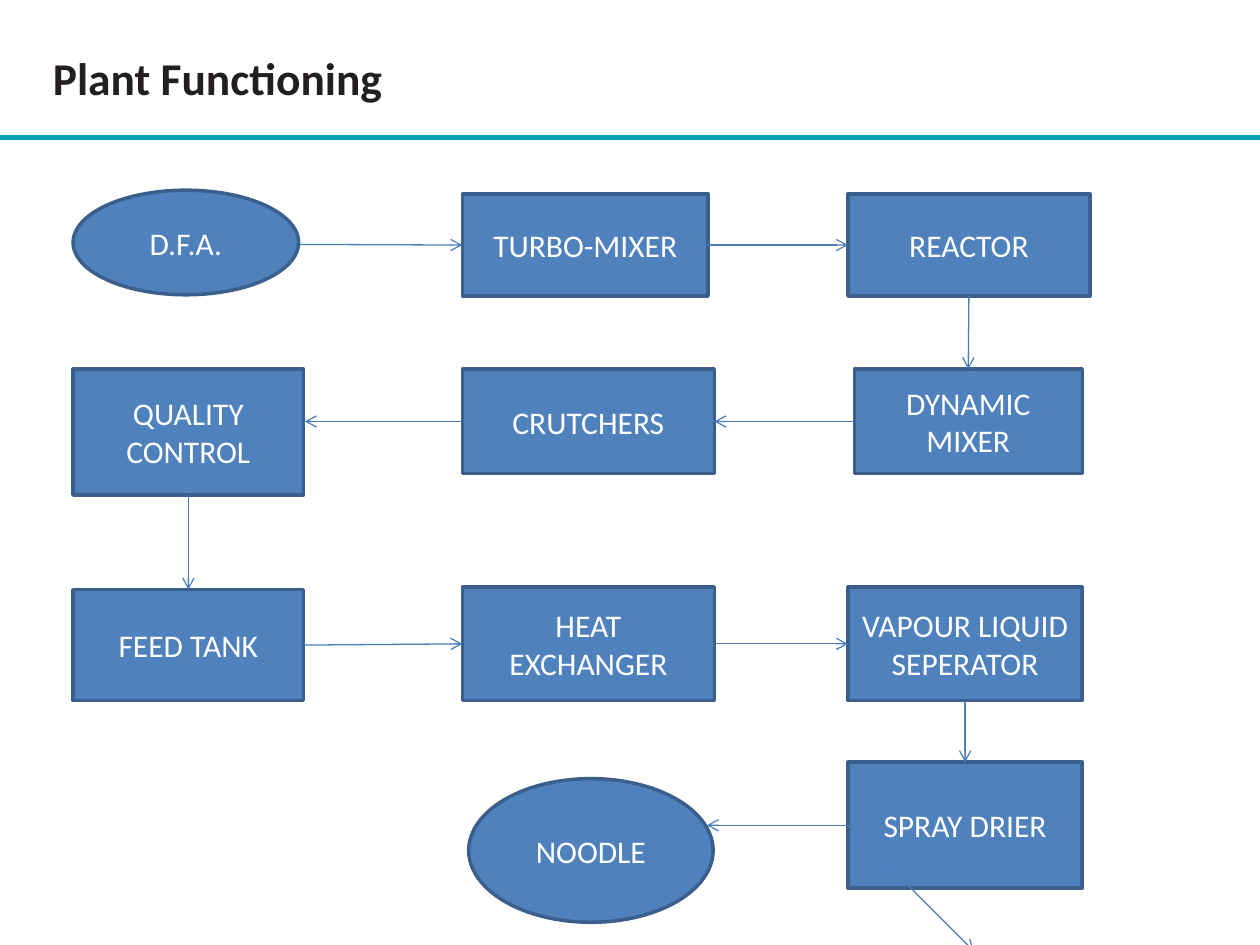
from dataclasses import dataclass

import lxml.etree
import pptx
import pptx.dml.color
import pptx.enum.shapes
import pptx.enum.text
import pptx.oxml.ns
import pptx.util

SHAPE = pptx.enum.shapes.MSO_SHAPE
TOP, LEFT, BOTTOM, RIGHT = range(4)


@dataclass(frozen=True)
class Theme:
    """Colours, font and sizes of the slide."""
    font: str = "Calibri"
    title_size: float = 26
    label_size: float = 18
    title: str = "231F20"
    rule: str = "00A3B4"
    fill: str = "4F81BD"
    outline: str = "3A5F8C"
    arrow: str = "4B7EBC"
    label: str = "FFFFFF"
    rule_width: float = 2.93
    outline_width: float = 2
    arrow_width: float = 0.75


@dataclass(frozen=True)
class Grid:
    """A region divided into equal columns and rows."""
    left: int
    top: int
    width: int
    height: int
    columns: int
    rows: int

    def point(self, column, row):
        """Return the slide position of a grid point."""
        return (round(self.left + column * self.width / self.columns),
                round(self.top + row * self.height / self.rows))

    def box(self, column, row, columns, rows):
        """Return left, top, width and height of a grid area."""
        left, top = self.point(column, row)
        right, bottom = self.point(column + columns, row + rows)
        return left, top, right - left, bottom - top


THEME = Theme()

FIRST, SECOND, THIRD = 5.8, 36.7, 67.3
STATIONS = {
    "D.F.A.": (SHAPE.OVAL, FIRST, 3.1, 17.9, 8.3),
    "TURBO-MIXER": (SHAPE.RECTANGLE, SECOND, 3.4, 19.5, 8.1),
    "REACTOR": (SHAPE.RECTANGLE, THIRD, 3.4, 19.2, 8.1),
    "DYNAMIC MIXER": (SHAPE.RECTANGLE, 67.8, 17.3, 18.1, 8.3),
    "CRUTCHERS": (SHAPE.RECTANGLE, SECOND, 17.3, 20, 8.3),
    "QUALITY CONTROL": (SHAPE.RECTANGLE, FIRST, 17.3, 18.3, 10),
    "FEED TANK": (SHAPE.RECTANGLE, FIRST, 34.8, 18.3, 8.8),
    "HEAT EXCHANGER": (SHAPE.RECTANGLE, SECOND, 34.6, 20, 9),
    "VAPOUR LIQUID SEPERATOR": (SHAPE.RECTANGLE, THIRD, 34.6, 18.6, 9),
    "SPRAY DRIER": (SHAPE.RECTANGLE, THIRD, 48.5, 18.6, 10),
    "NOODLE": (SHAPE.OVAL, 37.2, 49.8, 19.4, 11.4),
}
FLOWS = [
    ((23.8, 7.4), ("TURBO-MIXER", LEFT)),
    (("TURBO-MIXER", RIGHT), ("REACTOR", LEFT)),
    (("REACTOR", BOTTOM), ("DYNAMIC MIXER", TOP)),
    (("DYNAMIC MIXER", LEFT), ("CRUTCHERS", RIGHT)),
    (("CRUTCHERS", LEFT), (24.2, 21.45)),
    (("QUALITY CONTROL", BOTTOM), ("FEED TANK", TOP)),
    (("FEED TANK", RIGHT), ("HEAT EXCHANGER", LEFT)),
    (("HEAT EXCHANGER", RIGHT), ("VAPOUR LIQUID SEPERATOR", LEFT)),
    (("VAPOUR LIQUID SEPERATOR", BOTTOM), ("SPRAY DRIER", TOP)),
    (("SPRAY DRIER", LEFT), (56.1, 53.5)),
    (("SPRAY DRIER", LEFT), (77.3, 63.5)),
]


def colour(code):
    """Turn a hex code into a colour."""
    return pptx.dml.color.RGBColor.from_string(code)


def style_text(para, size, code, bold=False):
    """Format the runs of a paragraph."""
    for span in para.runs:
        span.font.name = THEME.font
        span.font.size = pptx.util.Pt(size)
        span.font.bold = bold
        span.font.color.rgb = colour(code)


def add_line(page, start, end, code, width):
    """Draw a plain straight line without a shadow."""
    line = page.shapes.add_connector(
        pptx.enum.shapes.MSO_CONNECTOR.STRAIGHT, *start, *end)
    line.line.color.rgb = colour(code)
    line.line.width = pptx.util.Pt(width)
    lxml.etree.SubElement(line._element.spPr, pptx.oxml.ns.qn("a:effectLst"))
    return line


def add_header(page, grid):
    """Place the title and the rule below it."""
    box = page.shapes.add_textbox(*grid.box(4.2, 4, 91.7, 4.4))
    frame = box.text_frame
    frame.word_wrap = True
    frame.margin_left = frame.margin_right = 0
    frame.margin_top = frame.margin_bottom = 0
    frame.text = "Plant Functioning"
    style_text(frame.paragraphs[0], THEME.title_size, THEME.title, True)
    add_line(page, grid.point(0, 10.9), grid.point(100, 10.9),
             THEME.rule, THEME.rule_width)


def add_station(page, grid, label, kind, *area):
    """Place one labelled step of the plant."""
    station = page.shapes.add_shape(kind, *grid.box(*area))
    station.shadow.inherit = False
    station.fill.solid()
    station.fill.fore_color.rgb = colour(THEME.fill)
    station.line.color.rgb = colour(THEME.outline)
    station.line.width = pptx.util.Pt(THEME.outline_width)
    frame = station.text_frame
    frame.word_wrap = True
    frame.vertical_anchor = pptx.enum.text.MSO_ANCHOR.MIDDLE
    frame.text = label
    para = frame.paragraphs[0]
    para.alignment = pptx.enum.text.PP_ALIGN.CENTER
    style_text(para, THEME.label_size, THEME.label)
    return station


def add_flow(page, grid, stations, start, end):
    """Draw an arrow between station sides or grid points."""
    origin = grid.point(0, 0)
    arrow = add_line(page, origin, origin, THEME.arrow, THEME.arrow_width)
    if start[0] in stations:
        arrow.begin_connect(stations[start[0]], start[1])
    else:
        arrow.begin_x, arrow.begin_y = grid.point(*start)
    if end[0] in stations:
        arrow.end_connect(stations[end[0]], end[1])
    else:
        arrow.end_x, arrow.end_y = grid.point(*end)
    lxml.etree.SubElement(arrow.line._get_or_add_ln(),
                          pptx.oxml.ns.qn("a:tailEnd"), type="arrow")


def add_process(page, grid):
    """Place all stations and the arrows that join them."""
    stations = {label: add_station(page, grid, label, *layout)
                for label, layout in STATIONS.items()}
    for start, end in FLOWS:
        add_flow(page, grid, stations, start, end)


def main():
    """Build and save the slide."""
    deck = pptx.Presentation()
    deck.slide_width = pptx.util.Inches(10)
    deck.slide_height = pptx.util.Inches(7.5)
    page = deck.slides.add_slide(deck.slide_layouts[6])
    width, height = deck.slide_width, deck.slide_height
    header_height = round(height * 0.16)
    add_header(page, Grid(0, 0, width, header_height, 100, 12))
    add_process(page, Grid(0, header_height, width, height - header_height, 100, 63))
    deck.save("out.pptx")


if __name__ == "__main__":
    main()
